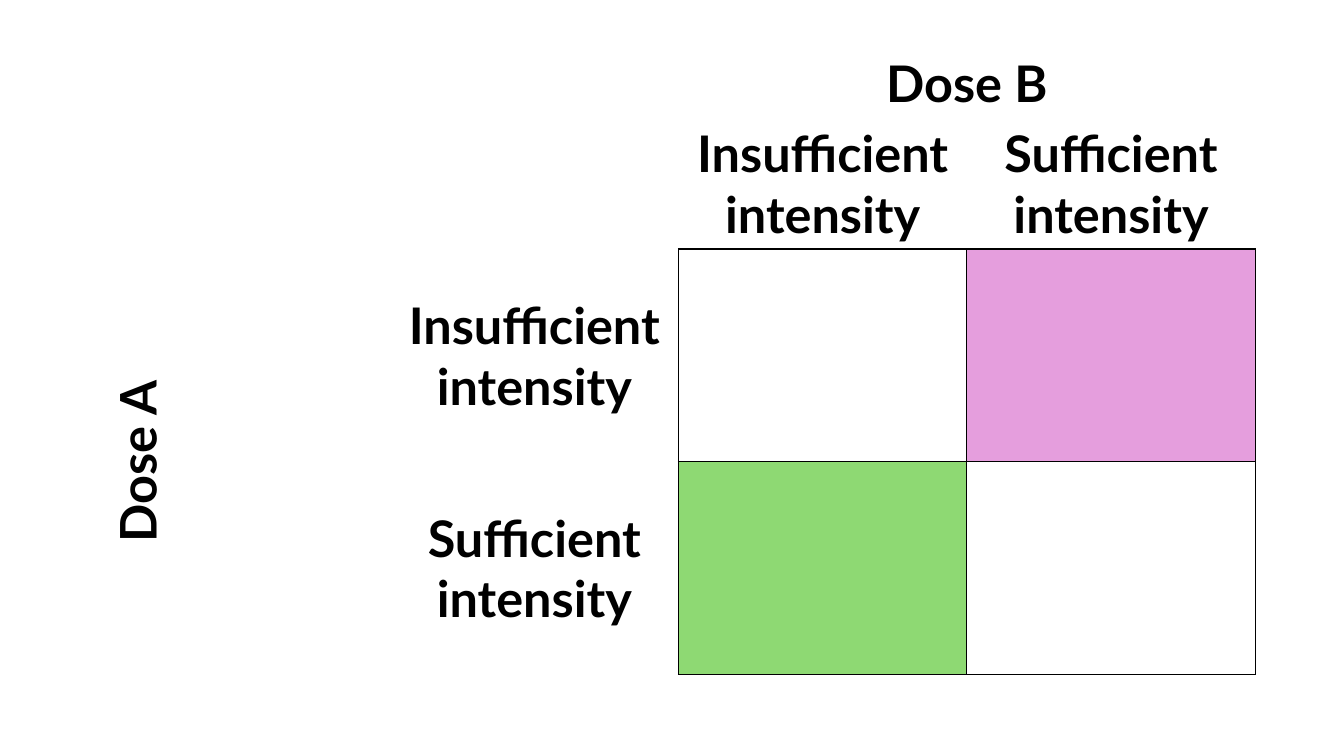
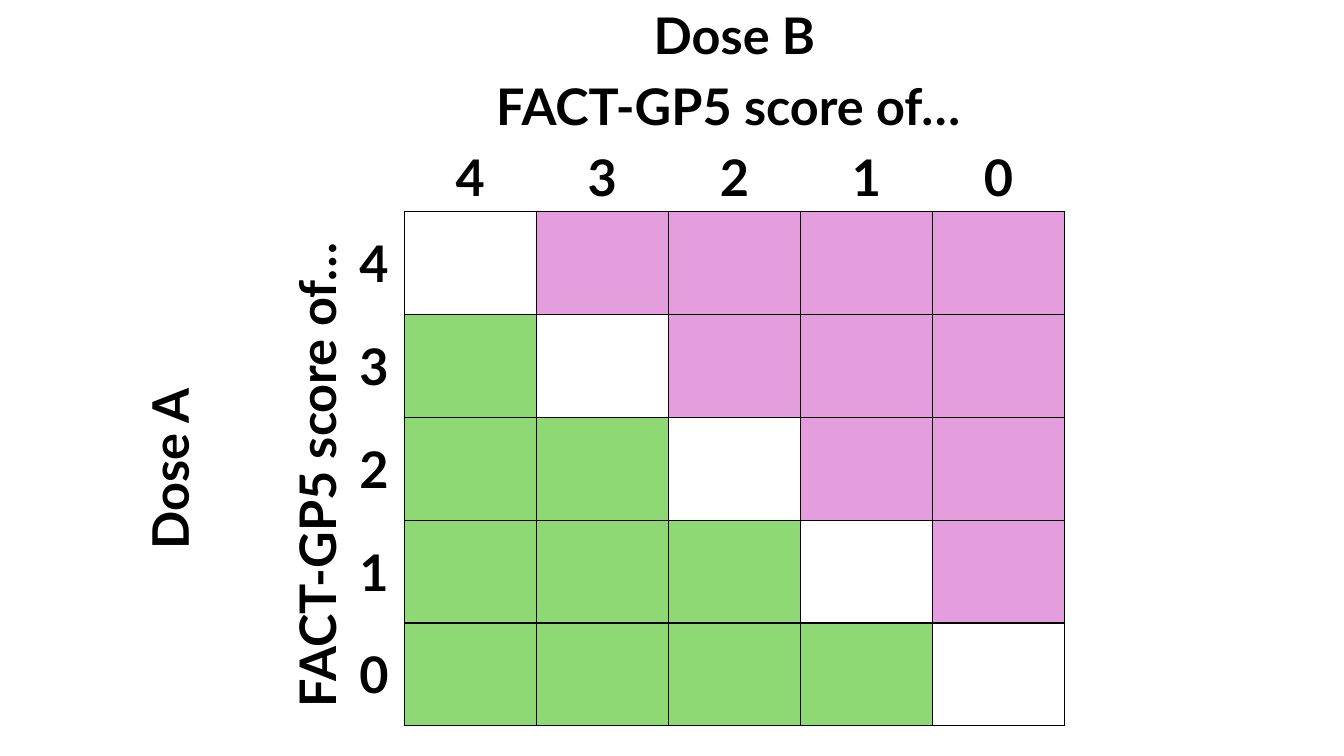
from dataclasses import dataclass

from lxml import etree
from pptx import Presentation
from pptx.dml.color import RGBColor
from pptx.enum.text import MSO_ANCHOR, PP_ALIGN
from pptx.oxml.ns import qn
from pptx.util import Inches, Pt

CENTER = PP_ALIGN.CENTER
MIDDLE, BOTTOM = MSO_ANCHOR.MIDDLE, MSO_ANCHOR.BOTTOM
BLANK_LAYOUT = 6
PLAIN_TABLE_STYLE = "{2D5ABB26-0587-4C30-8999-92F81FD0307C}"


@dataclass(frozen=True)
class Theme:
    font: str = "Lato"
    size: int = 36
    ink: str = "000000"
    dose_a_better: str = "8ED973"
    dose_b_better: str = "E59EDD"
    rule: int = 1


THEME = Theme()


def write_label(cell, text, anchor=MIDDLE, upright=False):
    """Bold, centred label; upright labels read from bottom to top."""
    cell.text_frame.text = text
    cell.vertical_anchor = anchor
    paragraph = cell.text_frame.paragraphs[0]
    paragraph.alignment = CENTER
    font = paragraph.runs[0].font
    font.name, font.size, font.bold = THEME.font, Pt(THEME.size), True
    font.color.rgb = RGBColor.from_string(THEME.ink)
    if upright:
        cell._tc.get_or_add_tcPr().set("vert", "vert270")


def rule_cell(cell, sides="LRTB"):
    """Thin rules on the given sides; must come before the fill."""
    properties = cell._tc.get_or_add_tcPr()
    for side in sides:
        line = etree.SubElement(properties, qn(f"a:ln{side}"), w=str(Pt(THEME.rule)))
        solid = etree.SubElement(line, qn("a:solidFill"))
        etree.SubElement(solid, qn("a:srgbClr"), val=THEME.ink)


def fill_outcome(cell, row, column):
    """Green below the diagonal, pink above it, clear on it."""
    if row == column:
        cell.fill.background()
        return
    cell.fill.solid()
    color = THEME.dose_a_better if row > column else THEME.dose_b_better
    cell.fill.fore_color.rgb = RGBColor.from_string(color)


def add_dose_matrix(slide, left, top, stub_widths, header_heights, cell_size,
                    levels, subheadings=()):
    """Outcome grid of dose A (rows) against dose B (columns)."""
    count, stub = len(levels), len(stub_widths)
    widths = stub_widths + [cell_size[0]] * count
    heights = header_heights + [cell_size[1]] * count
    table = slide.shapes.add_table(
        len(heights), len(widths), Inches(left), Inches(top),
        Inches(sum(widths)), Inches(sum(heights))).table
    table.first_row = table.horz_banding = False
    table._tbl.tblPr.find(qn("a:tableStyleId")).text = PLAIN_TABLE_STYLE
    for column, width in zip(table.columns, widths):
        column.width = Inches(width)
    for row, height in zip(table.rows, heights):
        row.height = Inches(height)

    # Spanning headings for both doses
    last = stub + count - 1
    for i, subheading in enumerate(("Dose", *subheadings)):
        across, down = table.cell(i, stub), table.cell(stub, i)
        across.merge(table.cell(i, last))
        down.merge(table.cell(last, i))
        anchor = MIDDLE if i else BOTTOM
        write_label(across, subheading if i else "Dose B", anchor)
        write_label(down, subheading if i else "Dose A", anchor, upright=True)

    # Level labels and outcome cells
    for i, level in enumerate(levels):
        column_label = table.cell(stub - 1, stub + i)
        row_label = table.cell(stub + i, stub - 1)
        for label, side in ((column_label, "B"), (row_label, "R")):
            write_label(label, level)
            rule_cell(label, side)
        for j in range(count):
            outcome = table.cell(stub + i, stub + j)
            rule_cell(outcome)
            fill_outcome(outcome, i, j)


def main():
    deck = Presentation()
    deck.slide_width, deck.slide_height = Inches(13.33), Inches(7.5)
    layout = deck.slide_layouts[BLANK_LAYOUT]

    # Two levels of intensity
    add_dose_matrix(
        deck.slides.add_slide(layout), left=1.01, top=-0.78,
        stub_widths=[2.86, 2.86], header_heights=[1.95, 1.3],
        cell_size=(2.86, 2.11),
        levels=["Insufficient intensity", "Sufficient intensity"])

    # Five score levels
    add_dose_matrix(
        deck.slides.add_slide(layout), left=1.33, top=0,
        stub_widths=[1.46, 0.62, 0.6], header_heights=[0.7, 0.7, 0.7],
        cell_size=(1.31, 1.02),
        levels=["4", "3", "2", "1", "0"],
        subheadings=["FACT-GP5 score of… "])

    deck.save("out.pptx")


if __name__ == "__main__":
    main()
